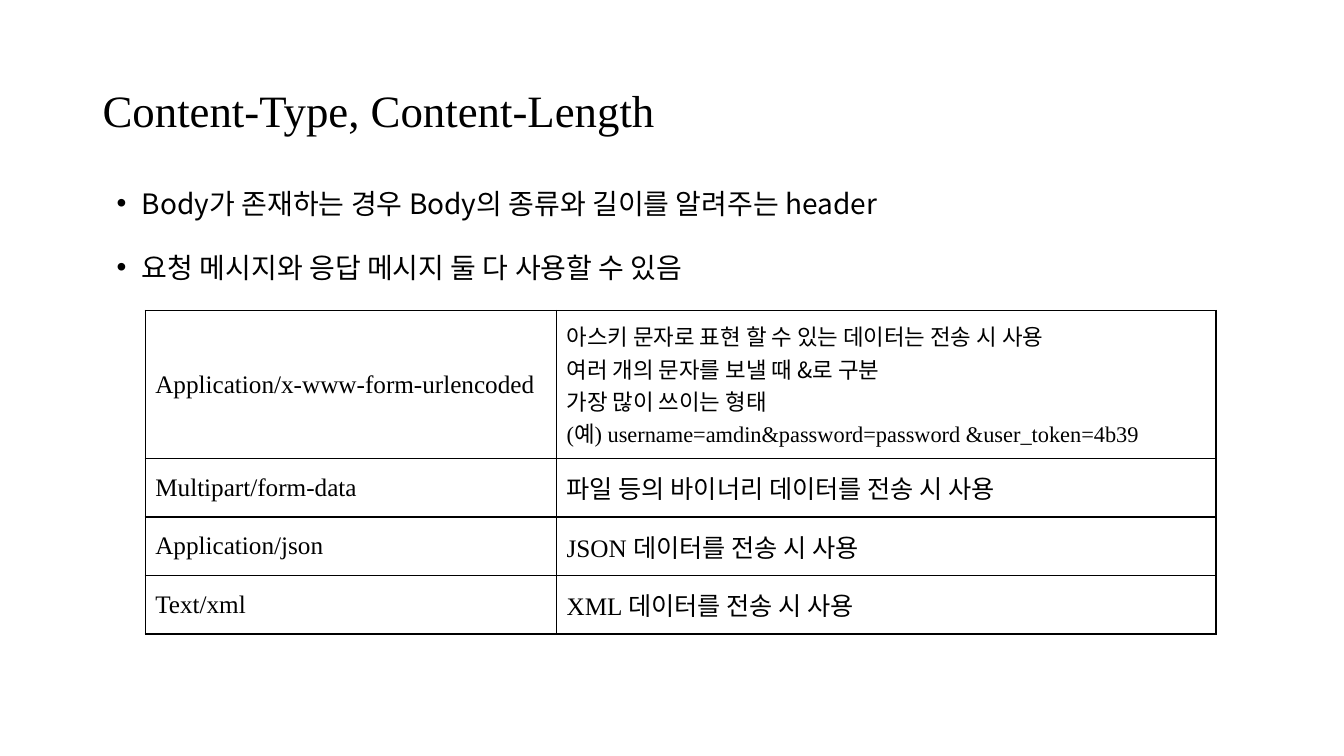
import pptx
import pptx.dml.color
import pptx.enum.text
import pptx.oxml
import pptx.oxml.ns
import pptx.util

TITLE = "Content-Type, Content-Length"
BULLETS = [
    "Body가 존재하는 경우 Body의 종류와 길이를 알려주는 header",
    "요청 메시지와 응답 메시지 둘 다 사용할 수 있음",
]

SERIF = "Times New Roman"
KOREAN = "Noto Sans CJK KR"
BLACK = pptx.dml.color.RGBColor(0, 0, 0)
WHITE = pptx.dml.color.RGBColor(255, 255, 255)

# Each row: content type, then description paragraphs made of (text, font) runs
ROWS = [
    ("Application/x-www-form-urlencoded", [
        [("아스키 문자로 표현 할 수 있는 데이터는 전송 시 사용", KOREAN)],
        [("여러 개의 문자를 보낼 때 &로 구분", KOREAN)],
        [("가장 많이 쓰이는 형태", KOREAN)],
        [("(예) username=amdin&password=password &user_token=4b39", SERIF)],
    ]),
    ("Multipart/form-data", [[("파일 등의 바이너리 데이터를 전송 시 사용", KOREAN)]]),
    ("Application/json", [[("JSON ", SERIF), ("데이터를 전송 시 사용", KOREAN)]]),
    ("Text/xml", [[("XML ", SERIF), ("데이터를 전송 시 사용", KOREAN)]]),
]

WIDTH, HEIGHT = 13.33, 7.5
TITLE_BOX = (0.92, 0.4, 11.5, 1.45)
BODY_BOX = (1.06, 1.63, 11.5, 4.76)
TABLE_AT = (1.44, 3.08)
COLUMNS = (4.08, 6.54)
FIRST_ROW, ROW = 1.47, 0.58
MIDDLE = pptx.enum.text.MSO_ANCHOR.MIDDLE
NS = pptx.oxml.ns.nsdecls("a")


def inches(lengths):
    return [pptx.util.Inches(n) for n in lengths]


def add_element(parent, xml):
    parent.append(pptx.oxml.parse_xml(xml))


def write(tf, paragraphs, size, spacing=None, gap=0, bullet=False):
    """Fill a text frame with paragraphs, each a list of (text, font) runs."""
    for i, runs in enumerate(paragraphs):
        p = tf.paragraphs[0] if i == 0 else tf.add_paragraph()
        if spacing:
            p.line_spacing = spacing
        if i and gap:
            p.space_before = pptx.util.Pt(gap)
        if bullet:
            pPr = p._p.get_or_add_pPr()
            indent = pptx.util.Inches(0.25)
            pPr.set("marL", str(indent))
            pPr.set("indent", str(-indent))
            add_element(pPr, f'<a:buFont {NS} typeface="Arial"/>')
            add_element(pPr, f'<a:buChar {NS} char="•"/>')
        for text, font in runs:
            r = p.add_run()
            r.text = text
            r.font.name = font
            r.font.size = pptx.util.Pt(size)
            r.font.color.rgb = BLACK
            add_element(r._r.get_or_add_rPr(), f'<a:ea {NS} typeface="{KOREAN}"/>')


def add_text(slide, box, paragraphs, size, anchor=None, **fmt):
    tf = slide.shapes.add_textbox(*inches(box)).text_frame
    tf.word_wrap = True
    if anchor is not None:
        tf.vertical_anchor = anchor
    write(tf, paragraphs, size, **fmt)


def style_cell(cell):
    tcPr = cell._tc.get_or_add_tcPr()
    for side in ("lnL", "lnR", "lnT", "lnB"):
        add_element(tcPr, f'<a:{side} {NS} w="{pptx.util.Pt(1)}"><a:solidFill>'
                          f'<a:srgbClr val="{BLACK}"/></a:solidFill></a:{side}>')
    cell.fill.background()
    cell.vertical_anchor = MIDDLE


def add_types_table(slide):
    heights = [FIRST_ROW] + [ROW] * (len(ROWS) - 1)
    box = inches((*TABLE_AT, sum(COLUMNS), sum(heights)))
    table = slide.shapes.add_table(len(ROWS), len(COLUMNS), *box).table
    table.first_row = table.horz_banding = False
    for column, width in zip(table.columns, inches(COLUMNS)):
        column.width = width
    for row, height, (name, notes) in zip(table.rows, inches(heights), ROWS):
        row.height = height
        for cell, paragraphs in zip(row.cells, ([[(name, SERIF)]], notes)):
            style_cell(cell)
            write(cell.text_frame, paragraphs, 16 if len(paragraphs) > 1 else 18)


def main():
    prs = pptx.Presentation()
    prs.slide_width, prs.slide_height = inches((WIDTH, HEIGHT))
    s = prs.slides.add_slide(prs.slide_layouts[6])
    s.background.fill.solid()
    s.background.fill.fore_color.rgb = WHITE
    add_text(s, TITLE_BOX, [[(TITLE, SERIF)]], 32, anchor=MIDDLE, spacing=0.9)
    add_text(s, BODY_BOX, [[(text, KOREAN)] for text in BULLETS], 20,
             spacing=1.5, gap=10, bullet=True)
    add_types_table(s)
    prs.save("out.pptx")


if __name__ == "__main__":
    main()
